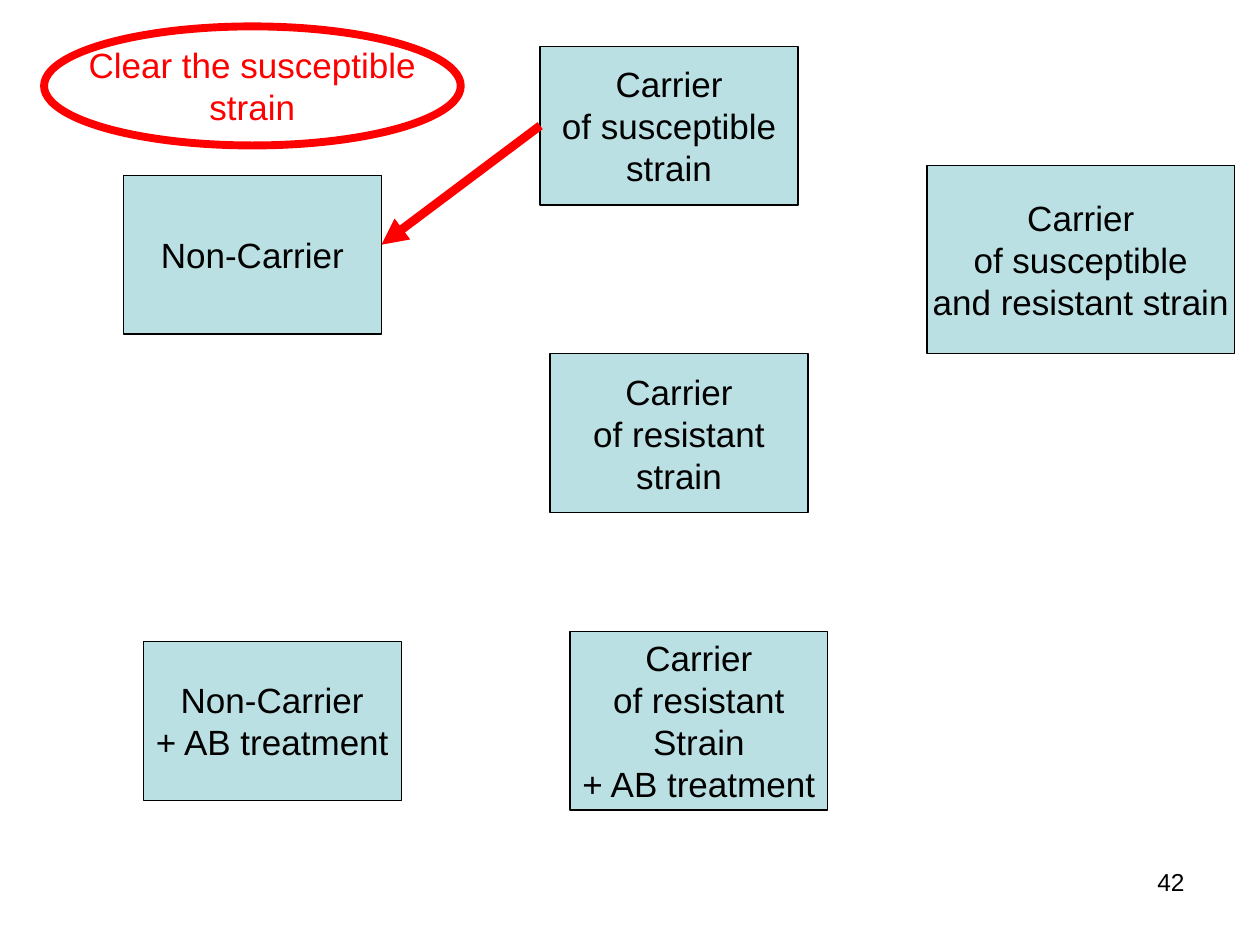
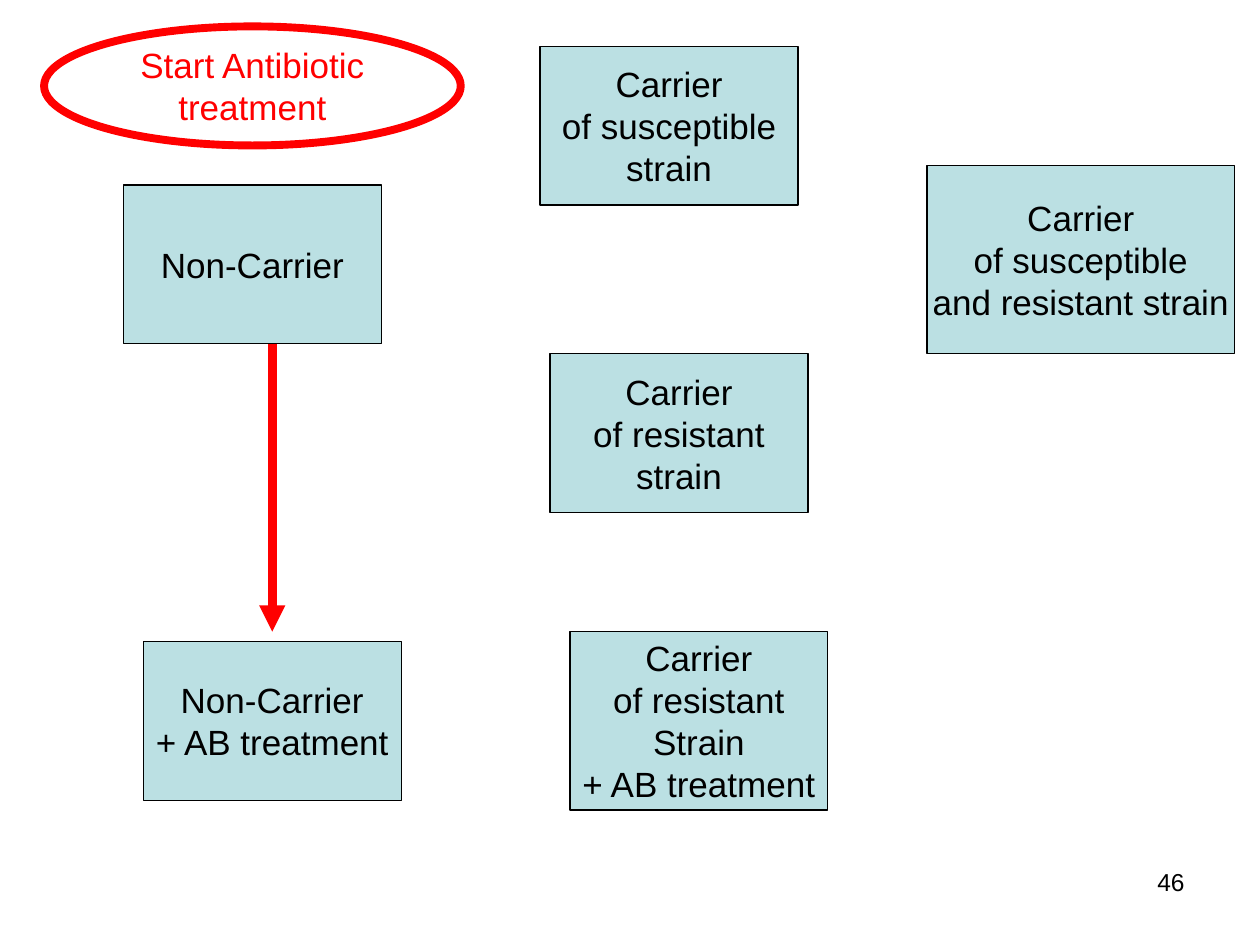
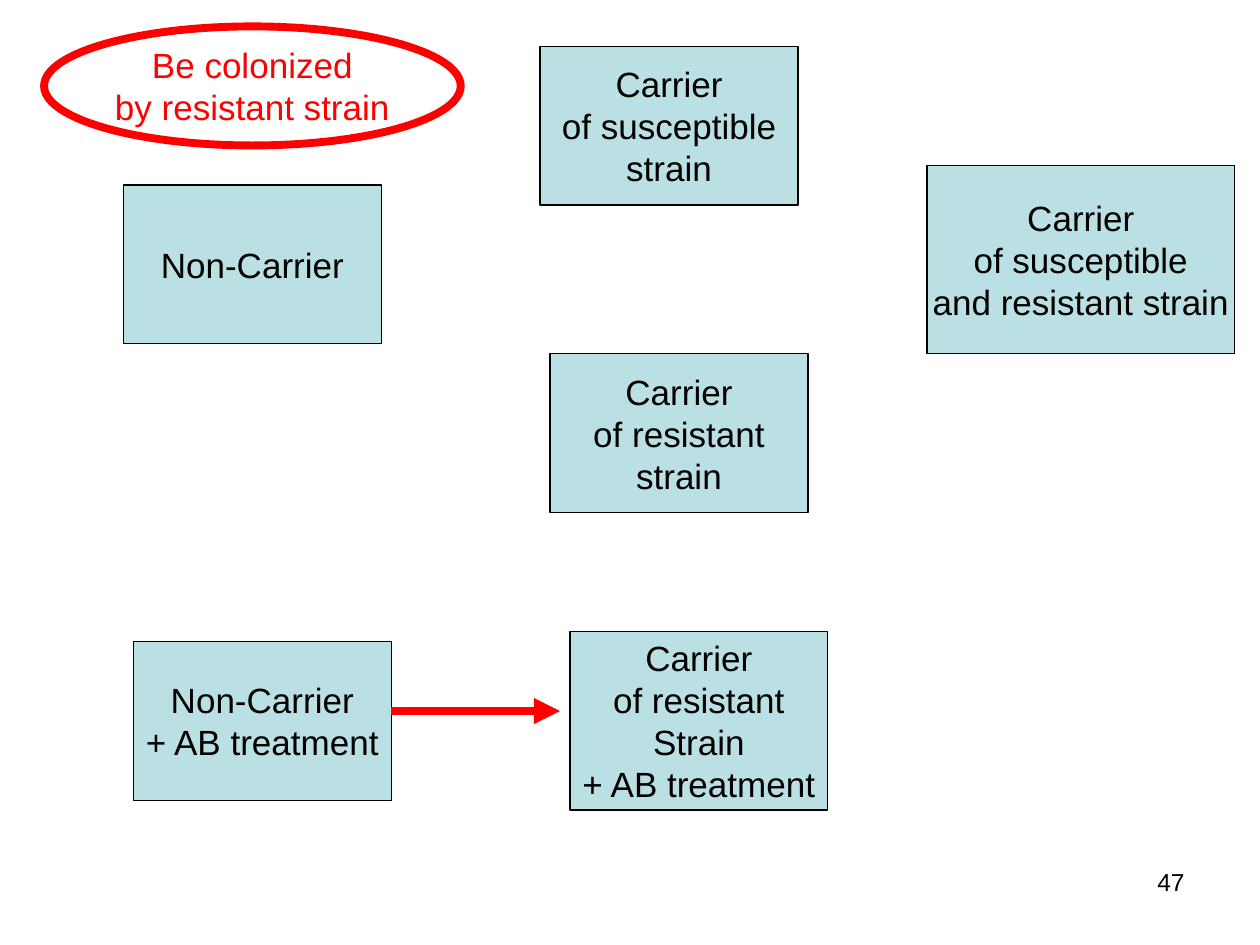
from lxml.etree import SubElement
from pptx import Presentation
from pptx.dml.color import RGBColor
from pptx.enum.shapes import MSO_CONNECTOR as Connector, MSO_SHAPE as Shape
from pptx.enum.text import MSO_ANCHOR as Anchor, PP_ALIGN as Align
from pptx.oxml.ns import qn
from pptx.util import Inches, Mm, Pt

# Shared look
FONT = "Arial"
BLACK, RED, WHITE, PALE_BLUE = "000000", "FF0000", "FFFFFF", "BBE0E3"

# Everything but the slide number sits on a grid of 2 mm cells
CELL, GRID_LEFT, GRID_TOP = Mm(2), Inches(0.35), Inches(0.21)

# States of a patient: lines of text, and (column, row, columns, rows)
STATES = {
    "free": (["Non-Carrier"], (8, 16, 26, 16)),
    "free treated": (["Non-Carrier", "+ AB treatment"], (10, 62, 26, 16)),
    "susceptible": (["Carrier", "of susceptible", "strain"], (50, 2, 26, 16)),
    "resistant": (["Carrier", "of resistant", "strain"], (51, 33, 26, 16)),
    "both": (["Carrier", "of susceptible", "and resistant strain"], (89, 14, 31, 19)),
    "resistant treated": (["Carrier", "of resistant", "Strain", "+ AB treatment"],
                          (53, 61, 26, 18)),
}
EVENT_CELLS = (0, 0, 42, 12)

# One event per slide; "moved" shifts a state by (columns, rows),
# "leaves" names a state and the side whose middle the arrow starts from
EVENTS = [
    {"number": "42", "event": ["Clear the susceptible", "strain"],
     "arrow": ((50, 10), (34, 22)), "leaves": ("susceptible", 1),
     "moved": {"free": (0, -1)}},
    {"number": "46", "event": ["Start Antibiotic", "treatment"],
     "arrow": ((23, 32), (23, 61))},
    {"number": "47", "event": ["Be colonized", "by resistant strain"],
     "arrow": ((35, 69), (52, 69)), "moved": {"free treated": (-1, 0)}},
]


def color(value):
    return RGBColor.from_string(value)


def point(column, row):
    return GRID_LEFT + column * CELL, GRID_TOP + row * CELL


def write(box, lines, size, ink, align):
    frame = box.text_frame
    for index, line in enumerate(lines):
        para = frame.add_paragraph() if index else frame.paragraphs[0]
        para.alignment = align
        span = para.add_run()
        span.text = line
        span.font.name, span.font.size = FONT, Pt(size)
        span.font.color.rgb = color(ink)


def add_label(page, kind, cells, lines, fill, outline, width, ink):
    column, row, columns, rows = cells
    box = page.shapes.add_shape(kind, *point(column, row), columns * CELL, rows * CELL)
    box.shadow.inherit = False
    box.fill.solid()
    box.fill.fore_color.rgb = color(fill)
    box.line.color.rgb = color(outline)
    box.line.width = Pt(width)
    box.text_frame.word_wrap = False
    box.text_frame.vertical_anchor = Anchor.MIDDLE
    write(box, lines, 20, ink, Align.CENTER)
    return box


def add_arrow(page, start, end):
    arrow = page.shapes.add_connector(Connector.STRAIGHT, *point(*start), *point(*end))
    arrow.line.color.rgb = color(RED)
    arrow.line.width = Pt(5)
    SubElement(arrow.line._get_or_add_ln(), qn("a:tailEnd"), type="triangle")
    SubElement(arrow._element.spPr, qn("a:effectLst"))
    return arrow


def add_page(deck, content):
    page = deck.slides.add_slide(deck.slide_layouts[6])

    # States
    boxes = {}
    for name, (lines, (column, row, columns, rows)) in STATES.items():
        right, down = content.get("moved", {}).get(name, (0, 0))
        cells = (column + right, row + down, columns, rows)
        boxes[name] = add_label(page, Shape.RECTANGLE, cells, lines,
                                PALE_BLUE, BLACK, 0.75, BLACK)

    # Transition and the event that causes it
    arrow = add_arrow(page, *content["arrow"])
    if "leaves" in content:
        name, side = content["leaves"]
        arrow.begin_connect(boxes[name], side)
    add_label(page, Shape.OVAL, EVENT_CELLS, content["event"], WHITE, RED, 4.5, RED)

    # Slide number
    footer = page.shapes.add_textbox(Inches(7.17), Inches(6.83), Inches(2.33), Inches(0.52))
    footer.text_frame.word_wrap = True
    write(footer, [content["number"]], 14, BLACK, Align.RIGHT)


def main():
    deck = Presentation()
    deck.slide_width, deck.slide_height = Inches(10), Inches(7.5)
    for content in EVENTS:
        add_page(deck, content)
    deck.save("out.pptx")


if __name__ == "__main__":
    main()
